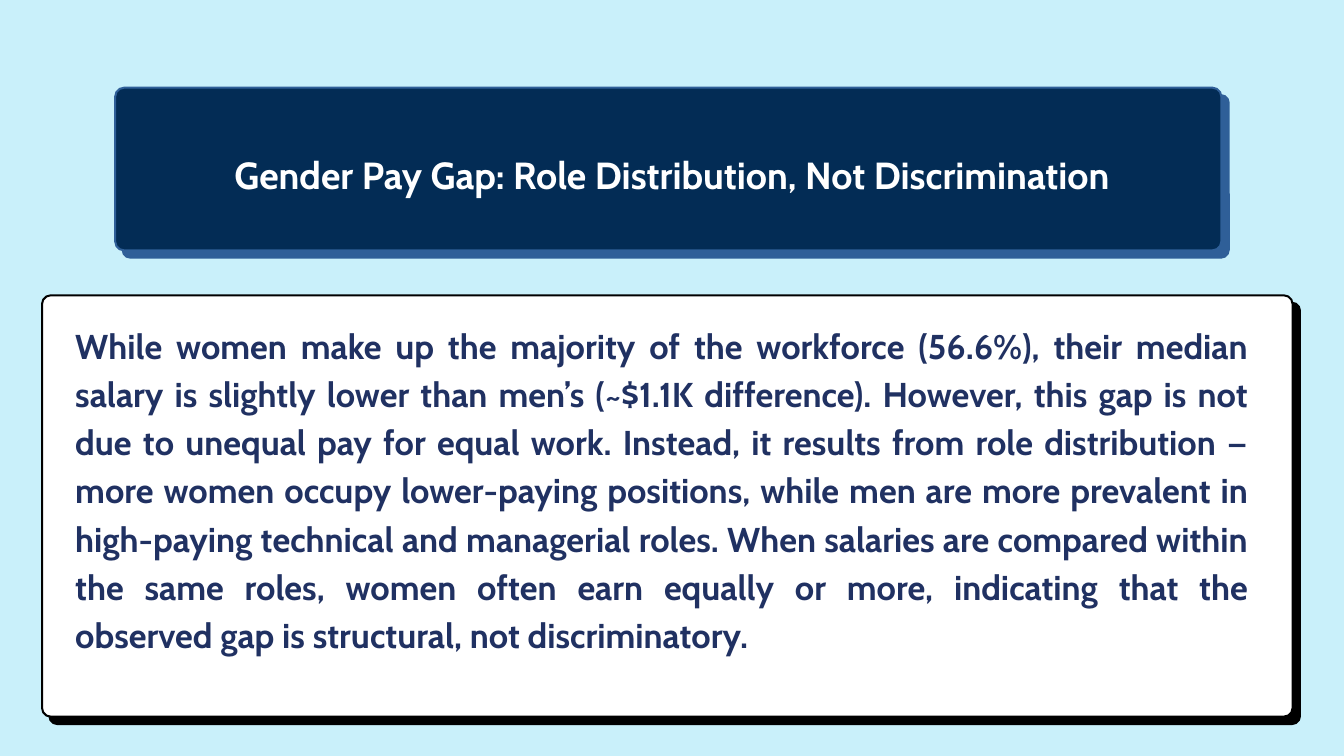
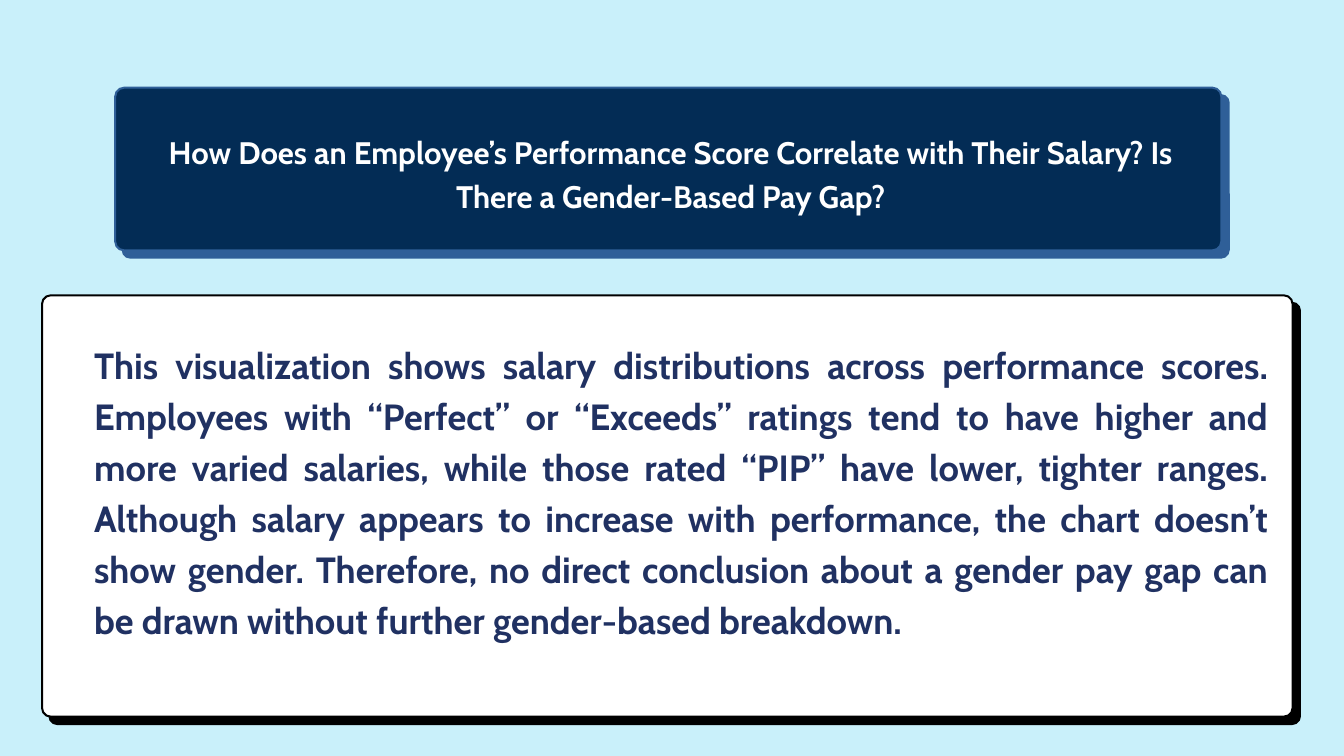
from pptx import Presentation
from pptx import util as u
from pptx.dml.color import RGBColor
from pptx.enum import shapes, text

FONT = "Cabin"
SKY, NAVY, BLUE = "C9F0FA", "032C55", "2F5F98"
WHITE, BLACK, INK = "FFFFFF", "000000", "203162"
SHADOW_OFFSET = 0.11
CORNER = 0.13
BORDER = 0.03

TITLE_CARD = (1.7, 1.29, 16.49, 2.45)
BODY_CARD = (0.61, 4.38, 18.64, 6.3)

SLIDES = [
    {
        "title": "Gender Pay Gap: Role Distribution, Not Discrimination",
        "title_area": (-2.2, 2.15, 24.41, 0.75),
        "title_size": 40.4,
        "title_spacing": 56.6,
        "body": "While women make up the majority of the workforce (56.6%), their median "
                "salary is slightly lower than men’s (~$1.1K difference). However, this gap "
                "is not due to unequal pay for equal work. Instead, it results from role "
                "distribution — more women occupy lower-paying positions, while men are more "
                "prevalent in high-paying technical and managerial roles. When salaries are "
                "compared within the same roles, women often earn equally or more, indicating "
                "that the observed gap is structural, not discriminatory.",
        "body_area": (1.12, 4.73, 17.47, 5.64),
        "body_size": 36.9,
        "body_spacing": 51.7,
    },
    {
        "title": "How Does an Employee’s Performance Score Correlate with Their Salary? "
                 "Is There a Gender-Based Pay Gap?",
        "title_area": (1.92, 1.9, 16.13, 1.27),
        "title_size": 33.3,
        "title_spacing": 46.6,
        "body": "This visualization shows salary distributions across performance scores. "
                "Employees with “Perfect” or “Exceeds” ratings tend to have higher and more "
                "varied salaries, while those rated “PIP” have lower, tighter ranges. Although "
                "salary appears to increase with performance, the chart doesn’t show gender. "
                "Therefore, no direct conclusion about a gender pay gap can be drawn without "
                "further gender-based breakdown.",
        "body_area": (1.4, 4.99, 17.47, 5.22),
        "body_size": 39,
        "body_spacing": 54.7,
    },
]


def paint(color_format, hex_color):
    color_format.rgb = RGBColor.from_string(hex_color)


def add_panel(group, area, fill, border=None):
    left, top, width, height = area
    panel = group.shapes.add_shape(
        shapes.MSO_SHAPE.ROUNDED_RECTANGLE, *map(u.Inches, area))
    panel.adjustments[0] = CORNER / min(width, height)
    panel.shadow.inherit = False
    panel.fill.solid()
    paint(panel.fill.fore_color, fill)
    if border:
        panel.line.width = u.Inches(BORDER)
        paint(panel.line.color, border)
    else:
        panel.line.fill.background()


def add_card(slide, area, fill, edge):
    left, top, width, height = area
    group = slide.shapes.add_group_shape()
    add_panel(group, (left + SHADOW_OFFSET, top + SHADOW_OFFSET, width, height), edge)
    inset = BORDER / 2
    face = (left + inset, top + inset, width - BORDER, height - BORDER)
    add_panel(group, face, fill, edge)


def add_text(slide, area, words, size, spacing, color, alignment):
    box = slide.shapes.add_textbox(*map(u.Inches, area))
    frame = box.text_frame
    frame.word_wrap = True
    frame.margin_left = frame.margin_right = 0
    frame.margin_top = frame.margin_bottom = 0
    para = frame.paragraphs[0]
    para.alignment = alignment
    para.line_spacing = u.Pt(spacing)
    span = para.add_run()
    span.text = words
    span.font.name = FONT
    span.font.size = u.Pt(size)
    span.font.bold = True
    paint(span.font.color, color)


def add_slide(deck, content):
    slide = deck.slides.add_slide(deck.slide_layouts[6])
    slide.background.fill.solid()
    paint(slide.background.fill.fore_color, SKY)
    add_card(slide, TITLE_CARD, NAVY, BLUE)
    add_card(slide, BODY_CARD, WHITE, BLACK)
    for part, color, alignment in (("title", WHITE, text.PP_ALIGN.CENTER),
                                   ("body", INK, text.PP_ALIGN.JUSTIFY)):
        add_text(slide, content[f"{part}_area"], content[part], content[f"{part}_size"],
                 content[f"{part}_spacing"], color, alignment)


def main():
    deck = Presentation()
    deck.slide_width = u.Inches(20)
    deck.slide_height = u.Inches(11.25)
    for content in SLIDES:
        add_slide(deck, content)
    deck.save("out.pptx")


if __name__ == "__main__":
    main()
